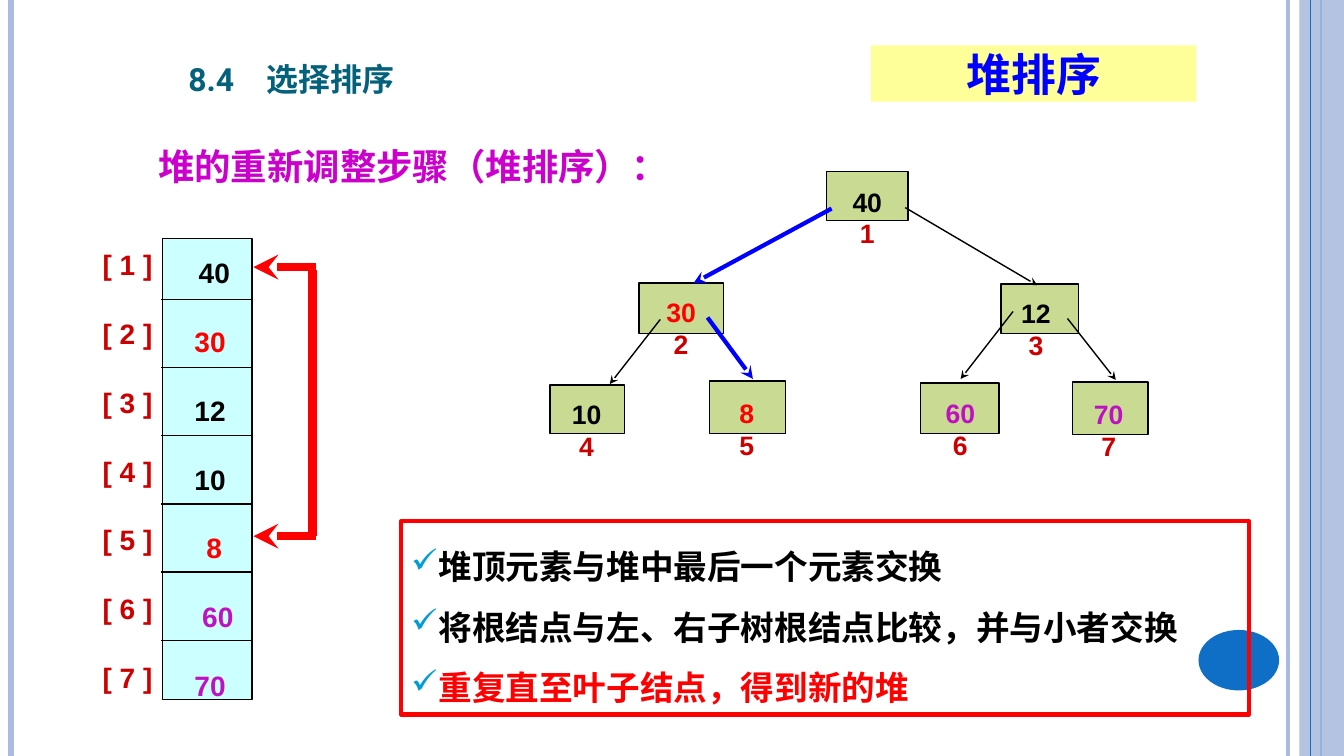
import pptx
import pptx.util
import pptx.oxml
import pptx.oxml.ns
import pptx.dml.color
import pptx.enum.shapes
import pptx.enum.text

Pt = pptx.util.Pt
RGBColor = pptx.dml.color.RGBColor
MSO_SHAPE = pptx.enum.shapes.MSO_SHAPE
ANCHOR = pptx.enum.text.MSO_ANCHOR
ALIGN = pptx.enum.text.PP_ALIGN

BLACK = RGBColor(0x00, 0x00, 0x00)
RED = RGBColor(0xFF, 0x00, 0x00)
DARK_RED = RGBColor(0xCC, 0x00, 0x00)
BLUE = RGBColor(0x00, 0x00, 0xFF)
PURPLE = RGBColor(0xBF, 0x11, 0xC3)
MAGENTA = RGBColor(0xCC, 0x00, 0xCC)
TEAL = RGBColor(0x04, 0x61, 0x7B)
YELLOW = RGBColor(0xFF, 0xFF, 0x99)
GREEN = RGBColor(0xC9, 0xDA, 0x92)
CYAN = RGBColor(0xCC, 0xFF, 0xFF)
EDGE = RGBColor(0xAB, 0xBB, 0xDF)
ACCENT = RGBColor(0x0F, 0x6F, 0xC6)
CHECK = RGBColor(0x00, 0x9D, 0xD9)

LATIN, CJK = "Arial", "Noto Sans CJK SC"
ROW_STEP = 48.1

KEYS = [("40", BLACK), ("30", RED), ("12", BLACK), ("10", BLACK),
        ("8", RED), (" 60", PURPLE), ("70", PURPLE)]
CENTERED_KEYS = ("40", "8")

NODES = [
    ((590.4, 122.4, 58.3, 35.3), 619.5, 129.6),
    ((456.5, 202.3, 60.5, 36), 486.5, 208.8),
    ((715, 203, 55.4, 35.3), 740, 209.5),
    ((393, 275, 53.3, 34.6), 419, 281.5),
    ((506.9, 272.2, 54, 37.4), 533.5, 280.8),
    ((657.4, 273.6, 56.2, 36), 686, 280.8),
    ((766, 272.9, 54, 37.4), 792, 281.5),
]
EDGES = [
    (646.6, 148.3, 740.9, 203.8),
    (471.6, 228.2, 435.6, 274.3),
    (723.6, 222.5, 686.2, 270.7),
    (762.5, 227.5, 797, 271.4),
]
SIFT_PATH = [(594, 149, 495.4, 202.3), (505.4, 226.8, 537.8, 270.7)]

STEPS = [("堆顶元素与堆中最后一个元素交换", BLACK),
         ("将根结点与左、右子树根结点比较，并与小者交换", BLACK),
         ("重复直至叶子结点，得到新的堆", RED)]


def add_xml(parent, tag, **attrs):
    """Append a DrawingML element and return it."""
    el = pptx.oxml.parse_xml(f'<a:{tag} {pptx.oxml.ns.nsdecls("a")}/>')
    for name, value in attrs.items():
        el.set(name, str(value))
    parent.append(el)
    return el


def add_run(p, text, size, color, font=LATIN):
    """Add one bold run to a paragraph."""
    r = p.add_run()
    r.text = text
    r.font.size, r.font.bold, r.font.name = Pt(size), True, font
    r.font.color.rgb = color
    add_xml(r.font._element, "ea", typeface=CJK)
    return r


def add_box(s, box, fill=None, line=None, width=1, kind=MSO_SHAPE.RECTANGLE):
    """Add a flat shape with an optional fill and outline."""
    sp = s.shapes.add_shape(kind, *map(Pt, box))
    sp.shadow.inherit = False
    if fill is None:
        sp.fill.background()
    else:
        sp.fill.solid()
        sp.fill.fore_color.rgb = fill
    if line is None:
        sp.line.fill.background()
    else:
        sp.line.color.rgb, sp.line.width = line, Pt(width)
    return sp


def add_line(s, ends, color, width, arrow=False):
    """Add a straight line, with an arrowhead at its end if asked."""
    sp = s.shapes.add_connector(pptx.enum.shapes.MSO_CONNECTOR.STRAIGHT, *map(Pt, ends))
    sp.line.color.rgb, sp.line.width = color, Pt(width)
    if arrow:
        add_xml(sp.line._get_or_add_ln(), "tailEnd", type="stealth")
    add_xml(sp._element.spPr, "effectLst")
    return sp


def add_text(s, box, inset=7.2, wrap=True):
    """Add an empty text box and return its frame."""
    tf = s.shapes.add_textbox(*map(Pt, box)).text_frame
    tf.word_wrap = wrap
    tf.margin_left = tf.margin_right = Pt(inset)
    tf.margin_top = tf.margin_bottom = Pt(inset / 2)
    return tf


def next_paragraph(tf, i):
    """Return the first paragraph of a frame, or a new one after it."""
    return tf.add_paragraph() if i else tf.paragraphs[0]


def add_column(s, box, entries):
    """Add a column of array texts spaced one row apart."""
    tf = add_text(s, box, wrap=False)
    for i, (text, color) in enumerate(entries):
        p = next_paragraph(tf, i)
        p.alignment = ALIGN.CENTER if text in CENTERED_KEYS else ALIGN.LEFT
        if i:
            p.space_before = Pt(ROW_STEP - 23)
        add_run(p, text, 20, color)


def add_frame(s):
    """Draw the bands and the disc at the slide edges."""
    add_line(s, (920.2, 0, 920.2, 540), EDGE, 3)
    add_line(s, (7.9, 0, 7.9, 540), EDGE, 4.5)
    add_line(s, (943.9, 0, 943.9, 540), ACCENT, 1.5)
    band = add_box(s, (928.1, 0, 31.9, 540), EDGE)
    add_xml(band.fill._xPr.find(".//" + pptx.oxml.ns.qn("a:srgbClr")), "alpha", val=87000)
    add_line(s, (936, 0, 936, 540), ACCENT, 0.75)
    add_box(s, (856.1, 450, 57.6, 43.2), ACCENT, kind=MSO_SHAPE.OVAL)


def add_titles(s):
    """Fill the title, the topic tag and the heading."""
    sp = s.shapes.title
    sp.left, sp.top, sp.width, sp.height = map(Pt, (127.4, 31, 321.1, 43.9))
    tf = sp.text_frame
    tf.vertical_anchor = ANCHOR.BOTTOM
    p = tf.paragraphs[0]
    p.alignment = ALIGN.LEFT
    tabs = add_xml(p._p.get_or_add_pPr(), "tabLst")
    add_xml(tabs, "tab", pos=Pt(56), algn="l")
    r = add_run(p, "8.4\t选择排序", 28.5, TEAL, "Roboto")
    r.font._element.set("cap", "small")

    tf = add_box(s, (622.1, 32.4, 232.6, 40.3), YELLOW).text_frame
    tf.vertical_anchor = ANCHOR.MIDDLE
    tf.paragraphs[0].alignment = ALIGN.CENTER
    add_run(tf.paragraphs[0], "堆排序", 32, BLUE, CJK)

    tf = add_text(s, (105.8, 99.4, 380.2, 38.9))
    add_run(tf.paragraphs[0], "堆的重新调整步骤（堆排序）：", 26, MAGENTA, CJK)


def add_tree(s):
    """Draw the heap as a binary tree."""
    for box, _, _ in NODES:
        add_box(s, box, GREEN, BLACK)
    for ends in EDGES:
        add_line(s, ends, BLACK, 1, True)
    for i, ((key, color), (_, center, top)) in enumerate(zip(KEYS, NODES)):
        tf = add_text(s, (center - 18, top, 36, 51.8), 5.8)
        for row, (text, shade) in enumerate([(key.strip(), color), (str(i + 1), DARK_RED)]):
            p = next_paragraph(tf, row)
            p.alignment = ALIGN.CENTER
            add_run(p, text, 19, shade)
    for ends in SIFT_PATH:
        add_line(s, ends, BLUE, 3, True)


def add_array(s):
    """Draw the heap as an array with the swapped pair marked."""
    add_box(s, (115.9, 170.6, 64.1, 329), CYAN, BLACK)
    for i in range(len(KEYS) - 1):
        y = 213.8 + 48.7 * i
        add_line(s, (115.2, y, 180.7, y), BLACK, 1)
    add_column(s, (131.8, 179.3, 42.5, 322.6), KEYS)
    add_column(s, (66.2, 173.5, 50.4, 322.6),
               [(f"[ {i + 1} ]", DARK_RED) for i in range(len(KEYS))])
    add_line(s, (223.2, 193, 223.2, 383), RED, 6)
    for y in (190.8, 383):
        add_line(s, (225.4, y, 181, y), RED, 6, True)


def add_steps(s):
    """Write the framed checklist of steps."""
    tf = add_box(s, (286.6, 372.2, 605.5, 138.2), line=RED, width=3).text_frame
    tf.word_wrap = True
    tf.vertical_anchor = ANCHOR.TOP
    for i, (text, color) in enumerate(STEPS):
        p = next_paragraph(tf, i)
        p.alignment = ALIGN.LEFT
        p.line_spacing = Pt(43.2)
        pPr = p._p.get_or_add_pPr()
        pPr.set("marL", str(Pt(19.5)))
        pPr.set("indent", str(Pt(-19.5)))
        add_xml(add_xml(pPr, "buClr"), "srgbClr", val=CHECK)
        add_xml(pPr, "buChar", char="✓")
        add_run(p, text, 24, color, CJK)


def main():
    """Build the heap sort slide."""
    prs = pptx.Presentation()
    prs.slide_width, prs.slide_height = Pt(960), Pt(540)
    s = prs.slides.add_slide(prs.slide_layouts[5])
    add_frame(s)
    add_titles(s)
    add_tree(s)
    add_array(s)
    add_steps(s)
    prs.save("out.pptx")


if __name__ == "__main__":
    main()
